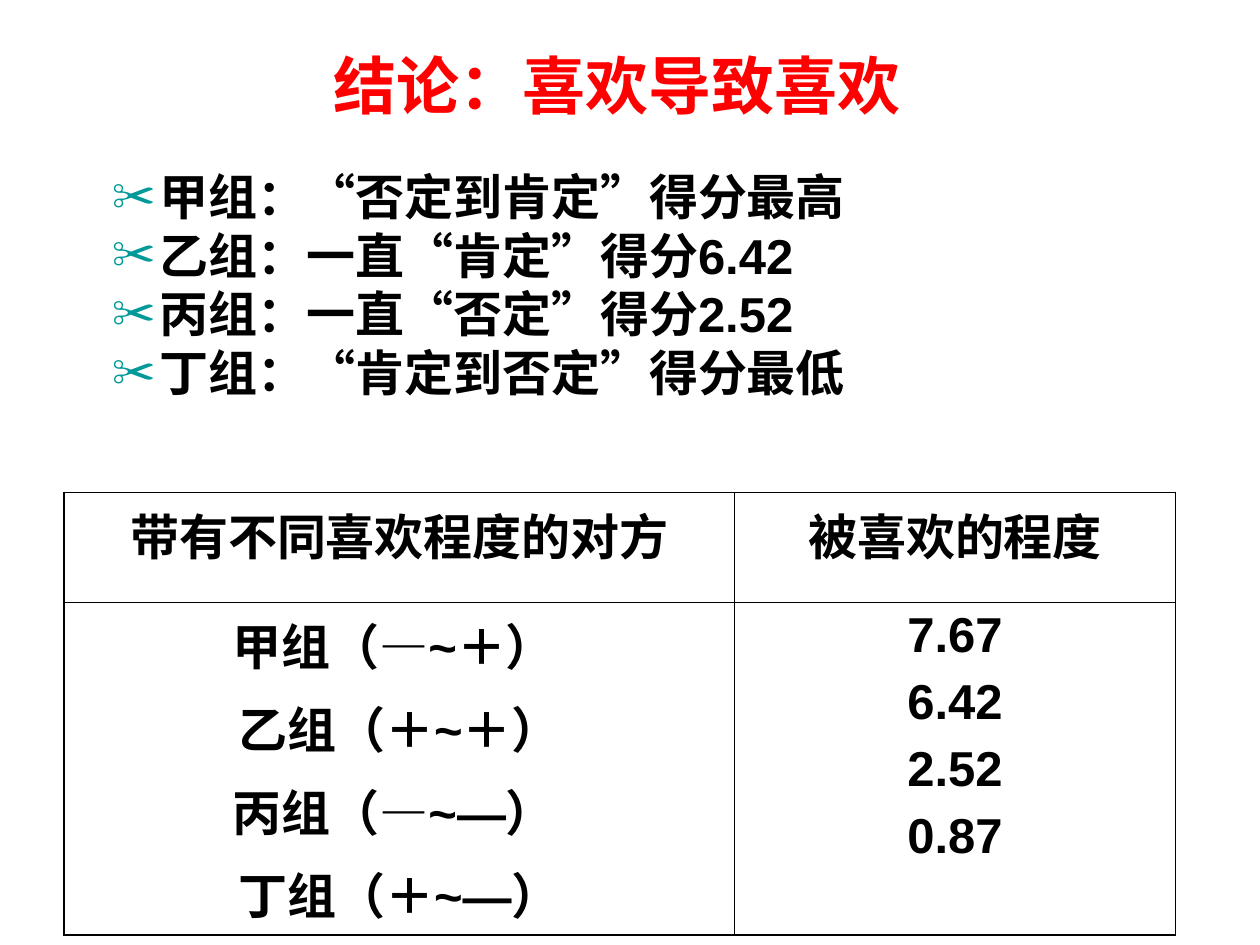
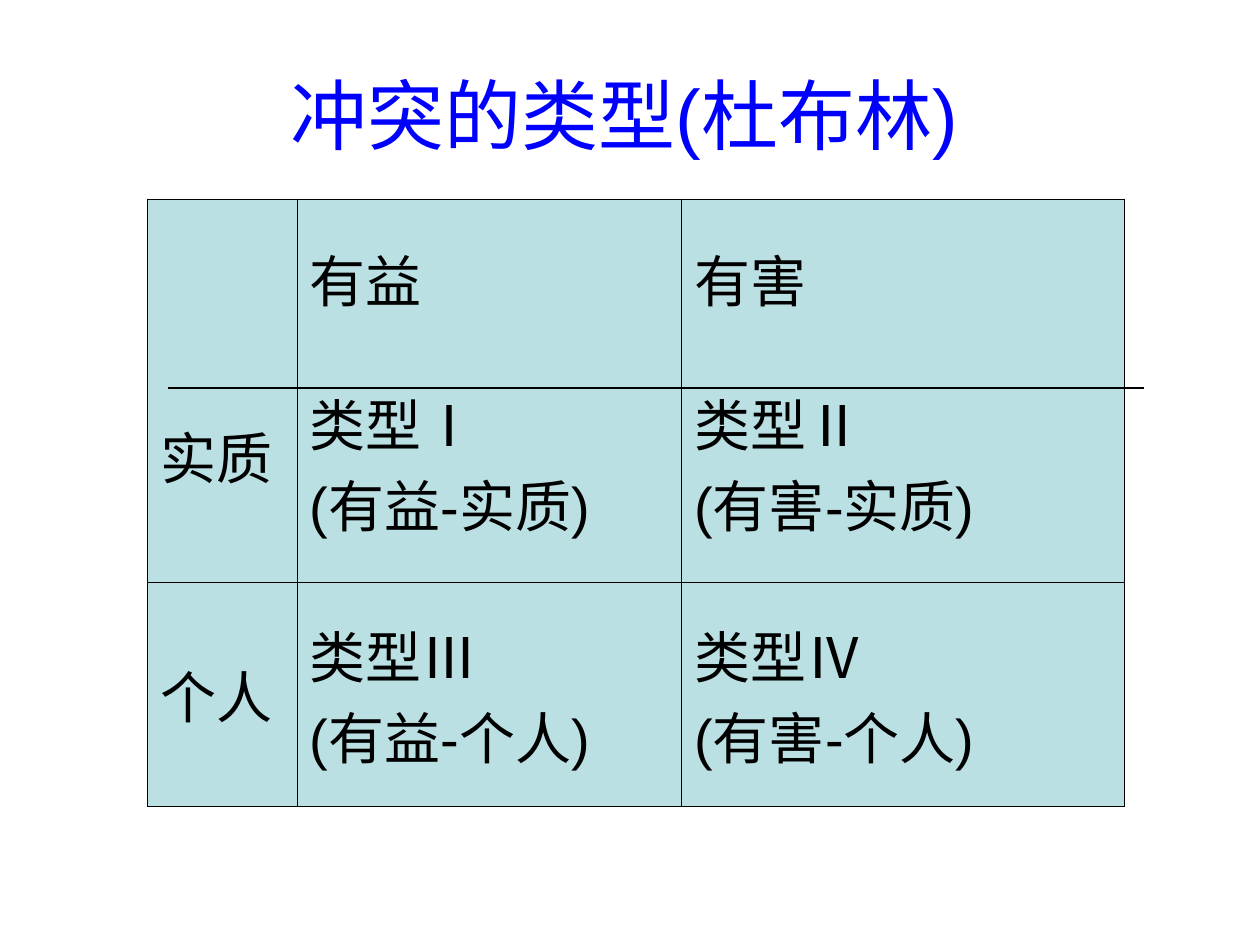
import lxml.etree
import pptx
import pptx.dml.color
import pptx.enum.lang
import pptx.enum.shapes
import pptx.enum.text
import pptx.oxml.ns
import pptx.util
from dataclasses import dataclass

Inches, Pt = pptx.util.Inches, pptx.util.Pt
RGB = pptx.dml.color.RGBColor.from_string
ALIGN, ANCHOR = pptx.enum.text.PP_ALIGN, pptx.enum.text.MSO_ANCHOR
CHINESE = pptx.enum.lang.MSO_LANGUAGE_ID.SIMPLIFIED_CHINESE
qn = pptx.oxml.ns.qn


@dataclass(frozen=True)
class Theme:
    font: str = "Arial"
    ink: str = "000000"
    red: str = "FF0000"
    blue: str = "0000FF"
    bullet: str = "009999"
    cell: str = "BBE0E3"
    body: int = 28
    grid: int = 32
    gap: int = 7
    thin: float = 0.45
    thick: float = 1.08


THEME = Theme()

LIKING = {
    "title": "结论：喜欢导致喜欢",
    "points": [
        "甲组：“否定到肯定”得分最高",
        "乙组：一直“肯定”得分6.42",
        "丙组：一直“否定”得分2.52",
        "丁组：“肯定到否定”得分最低",
    ],
    "cells": [
        [["带有不同喜欢程度的对方"], ["被喜欢的程度"]],
        [["甲组（―~＋） ", "乙组（＋~＋）", "丙组（―~―） ", "丁组（＋~―）"],
         ["7.67", "6.42", "2.52", "0.87"]],
    ],
    "cols": [5.32, 3.5],
    "rows": [0.87, 2.64],
}

CONFLICT = {
    "title": "冲突的类型(杜布林)",
    "cells": [
        [["实质"], ["有益", "类型Ⅰ", "(有益-实质)"], ["有害", "类型Ⅱ", "(有害-实质)"]],
        [["个人"], ["类型Ⅲ", "(有益-个人)"], ["类型Ⅳ", "(有害-个人)"]],
    ],
    "cols": [1.19, 3.05, 3.51],
    "rows": [3.04, 1.78],
}


def add_bullet(p):
    pPr = p._p.get_or_add_pPr()
    pPr.set("marL", str(Inches(0.38)))
    pPr.set("indent", str(-Inches(0.38)))
    color = lxml.etree.SubElement(pPr, qn("a:buClr"))
    lxml.etree.SubElement(color, qn("a:srgbClr"), val=THEME.bullet)
    lxml.etree.SubElement(pPr, qn("a:buSzPct"), val="90000")
    lxml.etree.SubElement(pPr, qn("a:buFont"), typeface=THEME.font)
    lxml.etree.SubElement(pPr, qn("a:buChar"), char="✂")


def write(tf, lines, size, color=THEME.ink, bold=False, align=ALIGN.LEFT,
          gap=0, bullets=False):
    """Fill a text frame, one paragraph a line, with gap points between them."""
    tf.word_wrap = True
    for i, text in enumerate(lines):
        p = tf.add_paragraph() if i else tf.paragraphs[0]
        if bullets:
            add_bullet(p)
        p.alignment = align
        p.space_before = Pt(gap if i else 0)
        r = p.add_run()
        r.text = text
        r.font.name, r.font.size, r.font.bold = THEME.font, Pt(size), bold
        r.font.color.rgb = RGB(color)
        r.font.language_id = CHINESE


def add_text(s, box, lines, anchor=ANCHOR.TOP, margin_top=0.05, **style):
    tf = s.shapes.add_textbox(*map(Inches, box)).text_frame
    tf.vertical_anchor = anchor
    tf.margin_top = Inches(margin_top)
    write(tf, lines, **style)


def add_title(s, box, text, **style):
    add_text(s, box, [text], anchor=ANCHOR.MIDDLE, align=ALIGN.CENTER, **style)


def set_borders(cell, widths):
    """Draw the left, right, top and bottom borders, widths in points."""
    tcPr = cell._tc.get_or_add_tcPr()
    for side, width in zip("LRTB", widths):
        ln = lxml.etree.SubElement(tcPr, qn(f"a:ln{side}"), w=str(Pt(width)))
        fill = lxml.etree.SubElement(ln, qn("a:solidFill"))
        lxml.etree.SubElement(fill, qn("a:srgbClr"), val=THEME.ink)


def add_grid(s, left, top, content, edge, fill=None, anchor=ANCHOR.TOP, **style):
    """Add a table with thin inner lines and an edge of the given width."""
    cols, rows = content["cols"], content["rows"]
    frame = s.shapes.add_table(len(rows), len(cols), Inches(left), Inches(top),
                               Inches(sum(cols)), Inches(sum(rows)))
    table = frame.table
    table.first_row = table.horz_banding = False
    for col, width in zip(table.columns, cols):
        col.width = Inches(width)
    for row, height in zip(table.rows, rows):
        row.height = Inches(height)
    for i, row in enumerate(content["cells"]):
        for j, lines in enumerate(row):
            cell = table.cell(i, j)
            outer = (j == 0, j == len(cols) - 1, i == 0, i == len(rows) - 1)
            set_borders(cell, [edge if out else THEME.thin for out in outer])
            if fill:
                cell.fill.solid()
                cell.fill.fore_color.rgb = RGB(fill)
            else:
                cell.fill.background()
            cell.vertical_anchor = anchor
            write(cell.text_frame, lines, **style)
    return table


def add_rule(s, left, y, width):
    line = s.shapes.add_connector(pptx.enum.shapes.MSO_CONNECTOR.STRAIGHT,
                                  Inches(left), Inches(y), Inches(left + width), Inches(y))
    line.line.color.rgb = RGB(THEME.ink)
    line.line.width = Pt(0.75)
    lxml.etree.SubElement(line._element.spPr, qn("a:effectLst"))


def liking_slide(s):
    add_title(s, (1, 0.17, 7.8, 0.99), LIKING["title"], size=36, color=THEME.red, bold=True)
    add_grid(s, 0.51, 3.91, LIKING, THEME.thick, size=THEME.body, bold=True,
             align=ALIGN.CENTER, gap=THEME.gap)
    add_text(s, (0.79, 1.32, 8.54, 2.23), LIKING["points"], size=THEME.body, bold=True,
             margin_top=0, bullets=True)


def conflict_slide(s):
    add_title(s, (0.5, 0.32, 8.91, 1.16), CONFLICT["title"], size=44, color=THEME.blue)
    table = add_grid(s, 1.17, 1.58, CONFLICT, THEME.thin, fill=THEME.cell,
                     anchor=ANCHOR.MIDDLE, size=THEME.grid)
    table.cell(0, 0).margin_top = Inches(1.08)
    for j in (1, 2):
        table.cell(0, j).text_frame.paragraphs[1].space_before = Pt(36)
    add_rule(s, 1.33, 3.08, sum(CONFLICT["cols"]))


def main():
    prs = pptx.Presentation()
    prs.slide_width, prs.slide_height = Inches(10), Inches(7.5)
    for build in (liking_slide, conflict_slide):
        build(prs.slides.add_slide(prs.slide_layouts[6]))
    prs.save("out.pptx")


if __name__ == "__main__":
    main()
